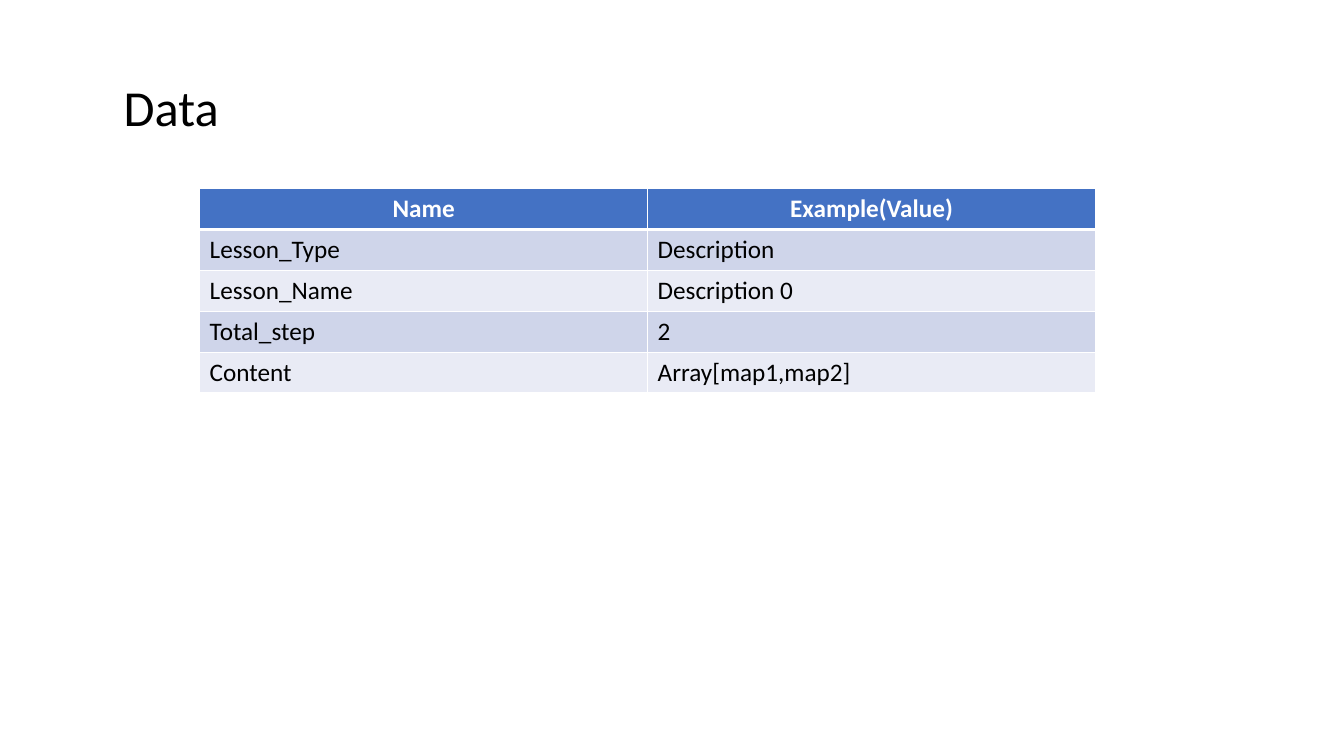
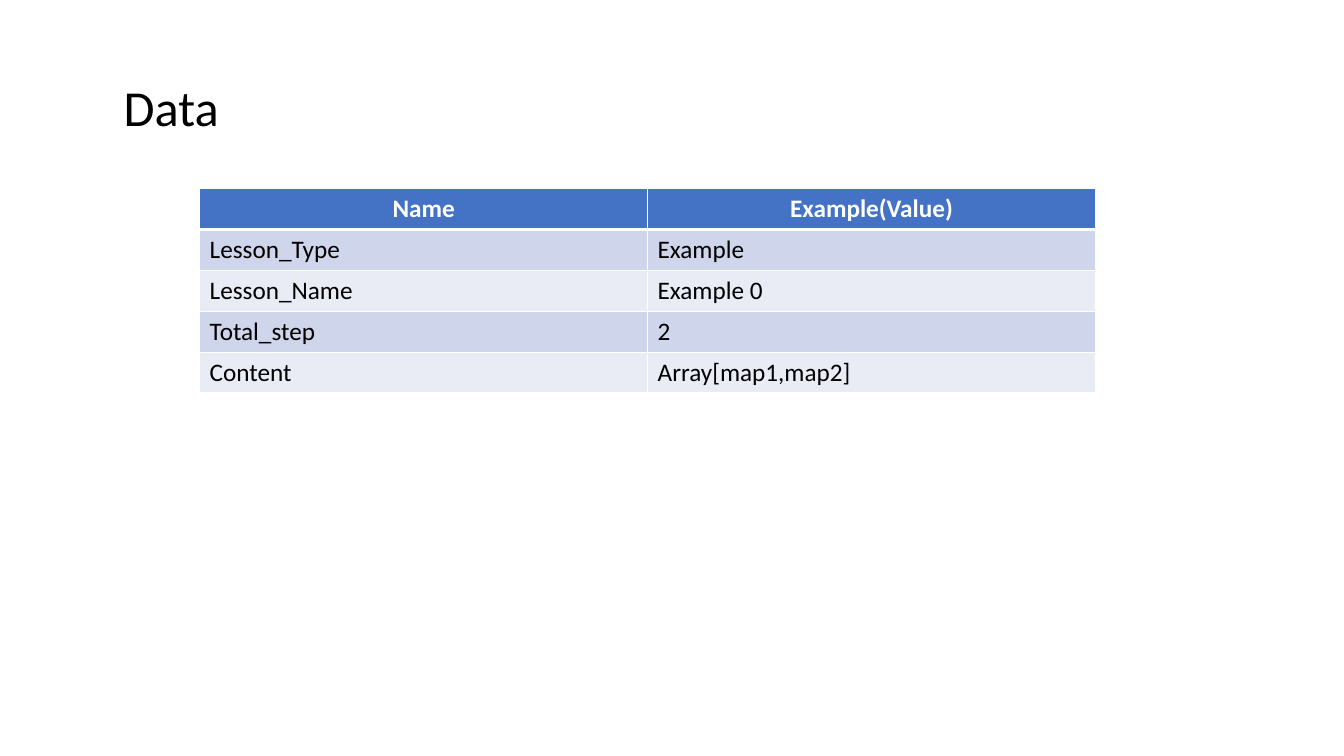
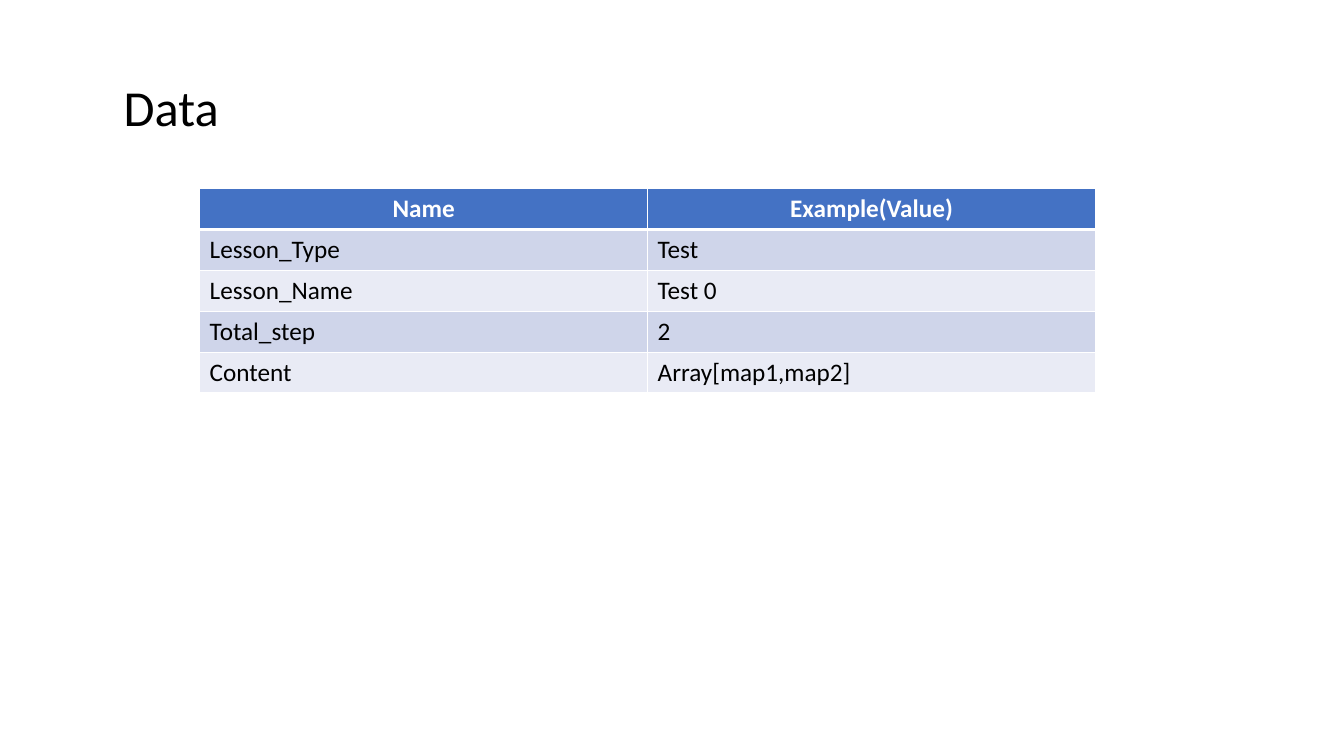
import lxml.etree
import pptx
import pptx.dml.color
import pptx.enum.text
import pptx.oxml.ns
import pptx.util

Pt = pptx.util.Pt
ALIGN = pptx.enum.text.PP_ALIGN
FONT = "Calibri"
COLORS = {
    "text": "000000",
    "white": "FFFFFF",
    "header": "4472C4",
    "odd_row": "CFD5EA",
    "even_row": "E9EBF5",
}
SLIDE_SIZE = (960, 540)
TITLE_BOX = (81.2, 50.9, 392, 50.9)
TABLE_BOX = (142.6, 134.8, 640, 146)
HEADER = ("Name", "Example(Value)")
LESSON_TYPES = ("Description", "Example", "Test")


def color(name):
    """Return the named palette colour."""
    return pptx.dml.color.RGBColor.from_string(COLORS[name])


def write_text(frame, text, *, size=18, fill="text", bold=False, align=ALIGN.LEFT):
    """Write one formatted paragraph into a text frame."""
    paragraph = frame.paragraphs[0]
    paragraph.alignment = align
    run = paragraph.add_run()
    run.text = text
    run.font.name = FONT
    run.font.size = Pt(size)
    run.font.bold = bold
    run.font.color.rgb = color(fill)


def add_title(slide, box, text):
    """Add the slide title in the given box."""
    frame = slide.shapes.add_textbox(*map(Pt, box)).text_frame
    frame.word_wrap = True
    frame.auto_size = pptx.enum.text.MSO_AUTO_SIZE.SHAPE_TO_FIT_TEXT
    write_text(frame, text, size=36)


def set_borders(cell, top=1, bottom=1):
    """Draw white borders of the given widths round a cell."""
    properties = cell._tc.get_or_add_tcPr()
    for side, width in (("L", 1), ("R", 1), ("T", top), ("B", bottom)):
        line = lxml.etree.SubElement(
            properties, pptx.oxml.ns.qn(f"a:ln{side}"), w=str(int(Pt(width)))
        )
        solid = lxml.etree.SubElement(line, pptx.oxml.ns.qn("a:solidFill"))
        lxml.etree.SubElement(solid, pptx.oxml.ns.qn("a:srgbClr"), val=COLORS["white"])


def style_cell(cell, row_index):
    """Give a cell the borders and fill of its row."""
    set_borders(
        cell, top=3 if row_index == 1 else 1, bottom=3 if row_index == 0 else 1
    )
    if row_index == 0:
        fill = "header"
    else:
        fill = "odd_row" if row_index % 2 else "even_row"
    cell.fill.solid()
    cell.fill.fore_color.rgb = color(fill)


def add_data_table(slide, box, rows):
    """Add a banded table with a header row, filling the given box."""
    table = slide.shapes.add_table(len(rows), len(rows[0]), *map(Pt, box)).table
    for column in table.columns:
        column.width = Pt(box[2] / len(rows[0]))
    for row_index, values in enumerate(rows):
        table.rows[row_index].height = Pt(box[3] / len(rows))
        for column_index, value in enumerate(values):
            cell = table.cell(row_index, column_index)
            style_cell(cell, row_index)
            if row_index == 0:
                write_text(
                    cell.text_frame, value, fill="white", bold=True, align=ALIGN.CENTER
                )
            else:
                write_text(cell.text_frame, value)


def add_data_slide(presentation, lesson_type):
    """Add a slide that lists the data fields of one lesson type."""
    slide = presentation.slides.add_slide(presentation.slide_layouts[6])
    add_title(slide, TITLE_BOX, "Data")
    rows = (
        HEADER,
        ("Lesson_Type", lesson_type),
        ("Lesson_Name", f"{lesson_type} 0"),
        ("Total_step", "2"),
        ("Content", "Array[map1,map2]"),
    )
    add_data_table(slide, TABLE_BOX, rows)


def main():
    """Build and save the presentation."""
    presentation = pptx.Presentation()
    presentation.slide_width, presentation.slide_height = map(Pt, SLIDE_SIZE)
    for lesson_type in LESSON_TYPES:
        add_data_slide(presentation, lesson_type)
    presentation.save("out.pptx")


main()
